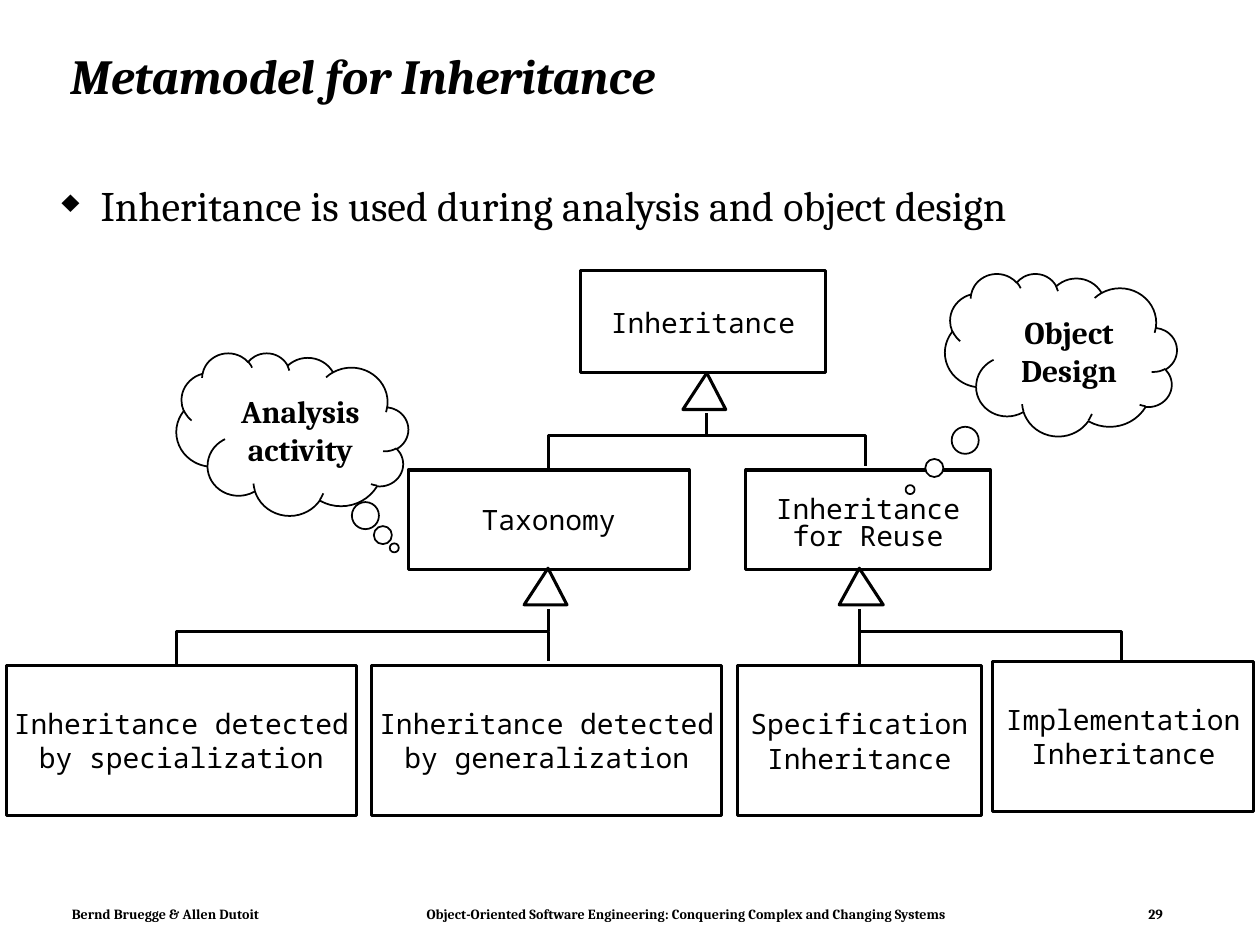
from lxml.etree import SubElement
from pptx import Presentation
from pptx.dml.color import RGBColor
from pptx.enum.shapes import MSO_CONNECTOR, MSO_SHAPE
from pptx.enum.text import MSO_ANCHOR, PP_ALIGN
from pptx.oxml.ns import qn
from pptx.util import Inches, Pt

COLORS = {"ink": "000000", "paper": "FFFFFF"}
SERIF, MONO = "Cambria", "Noto Sans Mono"


def write_text(shape, text, size=16, font=MONO, bold=False, italic=False,
               align=PP_ALIGN.LEFT, anchor=MSO_ANCHOR.TOP, wrap=False,
               spacing=None, insets=(0.1, 0.05, 0.1, 0.05)):
    frame = shape.text_frame
    frame.word_wrap = wrap
    frame.vertical_anchor = anchor
    frame.margin_left, frame.margin_top, frame.margin_right, frame.margin_bottom = map(Inches, insets)
    for index, line in enumerate(text.split("\n")):
        paragraph = frame.add_paragraph() if index else frame.paragraphs[0]
        paragraph.alignment = align
        paragraph.line_spacing = spacing
        run = paragraph.add_run()
        run.text = line
        run.font.size, run.font.name = Pt(size), font
        run.font.bold, run.font.italic = bold, italic
        run.font.color.rgb = RGBColor.from_string(COLORS["ink"])
    return frame.paragraphs[0]


class DiagramSlide:
    """Draws class-diagram elements on one slide in a single line style."""

    def __init__(self, slide, line_width=1.75):
        self.shapes = slide.shapes
        self.line_width = line_width

    def outline(self, shape, width=None):
        shape.shadow.inherit = False
        shape.line.color.rgb = RGBColor.from_string(COLORS["ink"])
        shape.line.width = Pt(width or self.line_width)

    def text(self, left, top, width, height, text, **style):
        box = self.shapes.add_textbox(*map(Inches, (left, top, width, height)))
        return write_text(box, text, **style)

    def bullet(self, left, top, width, height, text, **style):
        properties = self.text(left, top, width, height, text, **style)._p.get_or_add_pPr()
        properties.set("marL", str(Inches(0.31)))
        properties.set("indent", str(-Inches(0.31)))
        SubElement(properties, qn("a:buSzPct"), val="75000")
        SubElement(properties, qn("a:buChar"), char="♦")

    def footer(self, left, top, width, height, parts, stops):
        paragraph = self.text(left, top, width, height, "\t".join(parts), size=8,
                              font=SERIF, bold=True, wrap=True,
                              insets=(0.08, 0.04, 0.08, 0.04))
        tabs = SubElement(paragraph._p.get_or_add_pPr(), qn("a:tabLst"))
        for position, align in stops:
            SubElement(tabs, qn("a:tab"), pos=str(Inches(position)), algn=align)

    def class_box(self, left, top, width, height, name, spacing=None, top_inset=0):
        box = self.shapes.add_shape(MSO_SHAPE.RECTANGLE,
                                    *map(Inches, (left, top, width, height)))
        box.fill.background()
        self.outline(box)
        write_text(box, name, align=PP_ALIGN.CENTER, anchor=MSO_ANCHOR.MIDDLE,
                   spacing=spacing, insets=(0, top_inset, 0, 0))

    def polyline(self, points, close=False):
        start, *rest = [(Inches(x), Inches(y)) for x, y in points]
        builder = self.shapes.build_freeform(*start, scale=1.0)
        builder.add_line_segments(rest, close=close)
        shape = builder.convert_to_shape()
        shape.fill.background()
        self.outline(shape)

    def line(self, x1, y1, x2, y2):
        connector = self.shapes.add_connector(MSO_CONNECTOR.STRAIGHT,
                                              *map(Inches, (x1, y1, x2, y2)))
        connector.line.color.rgb = RGBColor.from_string(COLORS["ink"])
        connector.line.width = Pt(self.line_width)
        SubElement(connector._element.spPr, qn("a:effectLst"))

    def generalization(self, x, y, base_left, base_right, child_left, child_right):
        base, stem, bus = y + 0.29, y + 0.32, y + 0.5
        self.polyline([(base_left, base), (x, y), (base_right, base)], close=True)
        self.polyline([(child_left, y + 0.77), (child_left, bus),
                       (child_right, bus), (child_right, y + 0.74)])
        self.line(x, bus, x, stem)

    def cloud(self, left, top, text, tail):
        cloud = self.shapes.add_shape(MSO_SHAPE.CLOUD_CALLOUT,
                                      *map(Inches, (left, top, 1.84, 1.29)))
        cloud._element.spPr.get_or_add_xfrm().set("flipH", "1")
        cloud.adjustments[0], cloud.adjustments[1] = tail
        cloud.fill.solid()
        cloud.fill.fore_color.rgb = RGBColor.from_string(COLORS["paper"])
        self.outline(cloud, 1)
        write_text(cloud, text, size=18, font=SERIF, bold=True,
                   align=PP_ALIGN.CENTER, anchor=MSO_ANCHOR.MIDDLE)


def main():
    presentation = Presentation()
    presentation.slide_width, presentation.slide_height = Inches(10), Inches(7.5)
    diagram = DiagramSlide(presentation.slides.add_slide(presentation.slide_layouts[6]))

    diagram.footer(0.49, 7.15, 8.83, 0.21,
                   ["Bernd Bruegge & Allen Dutoit",
                    "Object-Oriented Software Engineering: Conquering Complex and Changing Systems",
                    "29"],
                   [(4.88, "ctr"), (8.66, "r")])
    diagram.text(0.46, 0.24, 8.92, 0.77, "Metamodel for Inheritance", size=28, font=SERIF,
                 bold=True, italic=True, anchor=MSO_ANCHOR.MIDDLE, wrap=True, spacing=0.9)
    diagram.bullet(0.39, 1.42, 9.03, 0.64,
                   "Inheritance is used during analysis and object design",
                   size=24, font=SERIF, wrap=True, spacing=0.9)

    diagram.class_box(4.61, 2.15, 1.94, 0.81, "Inheritance")
    diagram.class_box(3.24, 3.73, 2.23, 0.79, "Taxonomy")
    diagram.class_box(5.92, 3.73, 1.94, 0.79, "Inheritance\nfor Reuse",
                      spacing=Pt(15), top_inset=0.09)
    diagram.class_box(0.05, 5.28, 2.78, 1.19, "Inheritance detected\nby specialization")
    diagram.class_box(2.95, 5.28, 2.78, 1.19, "Inheritance detected\nby generalization")
    diagram.class_box(5.85, 5.28, 1.94, 1.19, "Specification\nInheritance", spacing=Pt(20))
    diagram.class_box(7.88, 5.25, 2.07, 1.19, "Implementation\nInheritance")

    diagram.generalization(5.61, 2.96, 5.42, 5.76, 4.35, 6.87)
    diagram.generalization(4.35, 4.51, 4.16, 4.5, 1.4, 4.35)
    diagram.generalization(6.82, 4.51, 6.66, 7.01, 6.82, 8.9)

    diagram.cloud(1.4, 2.8, "Analysis\nactivity", (-0.44, 0.7))
    diagram.cloud(7.5, 2.17, "Object\nDesign", (0.65, 0.83))

    presentation.save("out.pptx")


if __name__ == "__main__":
    main()
